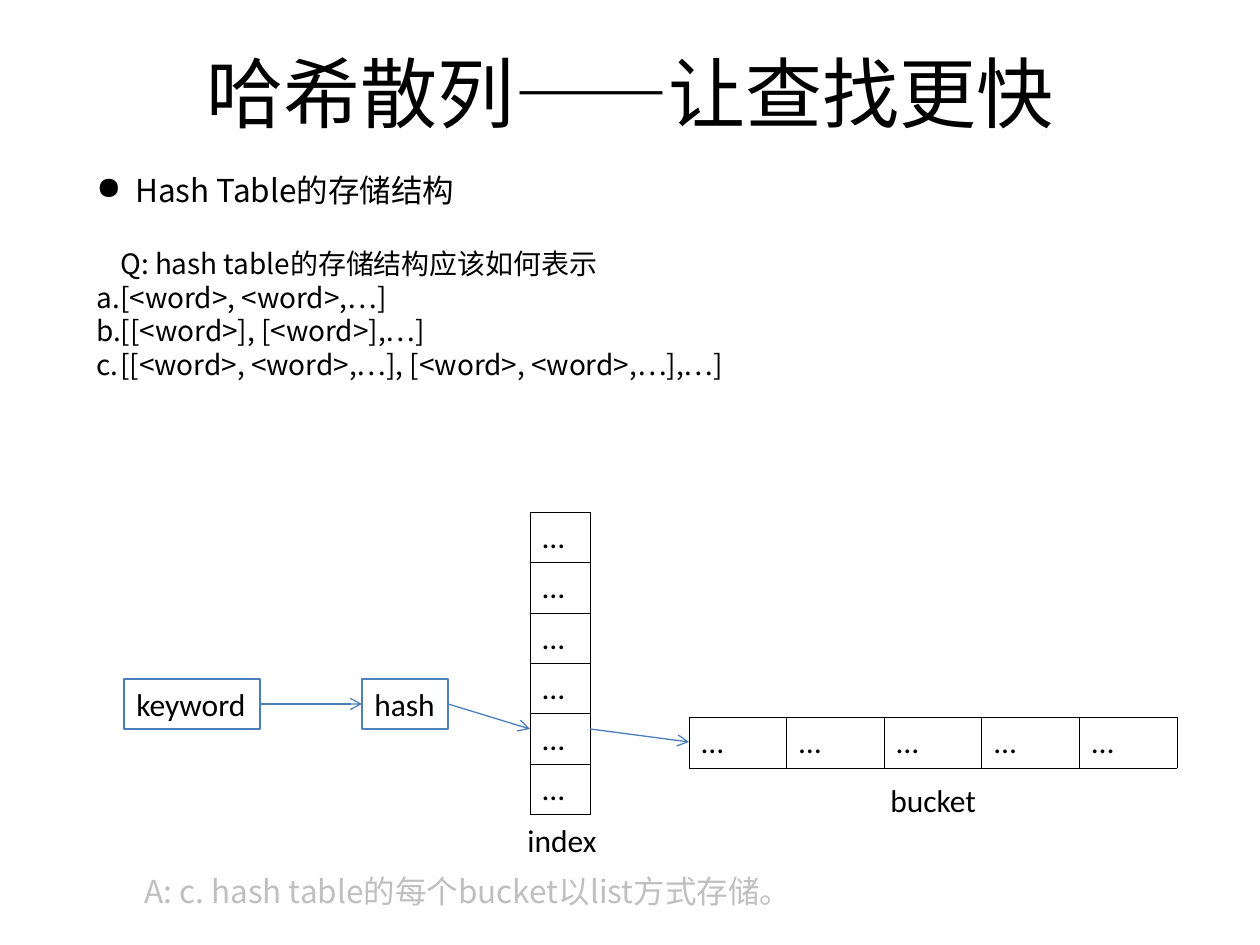
from lxml.etree import SubElement
from pptx import Presentation
from pptx.dml.color import RGBColor
from pptx.enum.shapes import MSO_CONNECTOR, MSO_SHAPE
from pptx.enum.text import MSO_ANCHOR, PP_ALIGN
from pptx.oxml.ns import qn
from pptx.util import Emu, Pt

EMU_PER_PX = 914400 / 126
CJK, LATIN = "Noto Sans CJK SC", "Calibri"
BLACK, GRAY, BLUE = "000000", "BFBFBF", "4A7EBB"

TITLE = ("哈希散列——让查找更快", (63, 38, 1134, 107))
BODY_BOX = (84, 165, 1072, 223)
BODY = [
    dict(text="Hash Table的存储结构", size=18, indent=(39, -39), bullet=("buChar", {"char": "●"})),
    dict(text="Q: hash table的存储结构应该如何表示", size=16, indent=(24, 0), before=21.6),
] + [
    dict(text=text, size=16, indent=(24, -24), bullet=("buAutoNum", {"type": "alphaLcPeriod"}))
    for text in (
        "[<word>, <word>,…]",
        "[[<word>], [<word>],…]",
        "[[<word>, <word>,…], [<word>, <word>,…],…]",
    )
]
ANSWER_BOX = (108, 866, 735, 50)
ANSWER = dict(text="A: c. hash table的每个bucket以list方式存储。", size=18, indent=(24, 0), color=GRAY)
NODES = [("keyword", (124, 679, 136, 50), BLUE), ("hash", (362, 679, 86, 50), "4F81BD")]
CAPTIONS = [("bucket", (878, 775, 112, 50)), ("index", (515, 815, 94, 50))]
TABLES = [(6, 1, (530, 512, 60, 302)), (1, 5, (689, 717, 488, 51))]
ARROWS = [(260, 704, 362, 704), (448, 704, 530, 729), (590, 729, 689, 742)]


def px(value):
    """Turn pixels into EMU."""
    return Emu(round(value * EMU_PER_PX))


def rgb(value):
    """Turn a hex string into a colour."""
    return RGBColor.from_string(value)


def assign(target, values):
    """Set attributes from a dict."""
    for name, value in values.items():
        setattr(target, name, value)


def write(paragraph, text, size=18, font=LATIN, color=BLACK):
    """Add one formatted run to a paragraph."""
    run = paragraph.add_run()
    run.text = text
    assign(run.font, {"size": Pt(size), "name": font})
    run.font.color.rgb = rgb(color)
    SubElement(run.font._element, qn("a:ea"), typeface=font)


def write_item(paragraph, text, size, indent, bullet=None, before=0, color=BLACK):
    """Write an indented paragraph with an optional bullet."""
    paragraph.space_before = Pt(before)
    properties = paragraph._p.get_or_add_pPr()
    for name, value in zip(("marL", "indent"), indent):
        properties.set(name, str(px(value)))
    if bullet:
        tag, values = bullet
        SubElement(properties, qn("a:" + tag), values)
    write(paragraph, text, size, CJK, color)


def add_text(slide, box, **format_values):
    """Add a text box and return its frame."""
    frame = slide.shapes.add_textbox(*map(px, box)).text_frame
    assign(frame, {"word_wrap": True, **format_values})
    return frame


def add_node(slide, text, box, color):
    """Add an outlined rectangle with a label."""
    shape = slide.shapes.add_shape(MSO_SHAPE.RECTANGLE, *map(px, box))
    shape.shadow.inherit = False
    shape.fill.background()
    shape.line.color.rgb = rgb(color)
    shape.line.width = Pt(0.75)
    shape.text_frame.word_wrap = False
    paragraph = shape.text_frame.paragraphs[0]
    paragraph.alignment = PP_ALIGN.LEFT
    write(paragraph, text)


def add_grid(slide, rows, columns, box):
    """Add a plain bordered table of ellipses."""
    table = slide.shapes.add_table(rows, columns, *map(px, box)).table
    assign(table, {"first_row": False, "horz_banding": False})
    for column in table.columns:
        column.width = px(box[2] / columns)
    for row in table.rows:
        row.height = px(box[3] / rows)
    for cell in table.iter_cells():
        write(cell.text_frame.paragraphs[0], "…")
        properties = cell._tc.get_or_add_tcPr()
        for side in "LRTB":
            border = SubElement(properties, qn("a:ln" + side), w=str(Pt(0.45)))
            fill = SubElement(border, qn("a:solidFill"))
            SubElement(fill, qn("a:srgbClr"), val=BLACK)
        cell.fill.background()


def add_arrow(slide, ends):
    """Add a straight line with an open arrowhead."""
    connector = slide.shapes.add_connector(MSO_CONNECTOR.STRAIGHT, *map(px, ends))
    connector.line.color.rgb = rgb(BLUE)
    connector.line.width = Pt(0.75)
    SubElement(connector.line._get_or_add_ln(), qn("a:tailEnd"), type="arrow")
    SubElement(connector._element.spPr, qn("a:effectLst"))


def main():
    """Build and save the slide."""
    presentation = Presentation()
    assign(presentation, {"slide_width": px(1260), "slide_height": px(945)})
    slide = presentation.slides.add_slide(presentation.slide_layouts[6])

    text, box = TITLE
    title = add_text(slide, box, vertical_anchor=MSO_ANCHOR.MIDDLE).paragraphs[0]
    title.alignment = PP_ALIGN.CENTER
    write(title, text, 44, CJK)

    for box, items in ((BODY_BOX, BODY), (ANSWER_BOX, [ANSWER])):
        frame = add_text(slide, box)
        for index, item in enumerate(items):
            paragraph = frame.add_paragraph() if index else frame.paragraphs[0]
            write_item(paragraph, **item)

    for node in NODES:
        add_node(slide, *node)
    for grid in TABLES:
        add_grid(slide, *grid)
    for ends in ARROWS:
        add_arrow(slide, ends)
    for text, box in CAPTIONS:
        write(add_text(slide, box, word_wrap=False).paragraphs[0], text)

    presentation.save("out.pptx")


if __name__ == "__main__":
    main()
